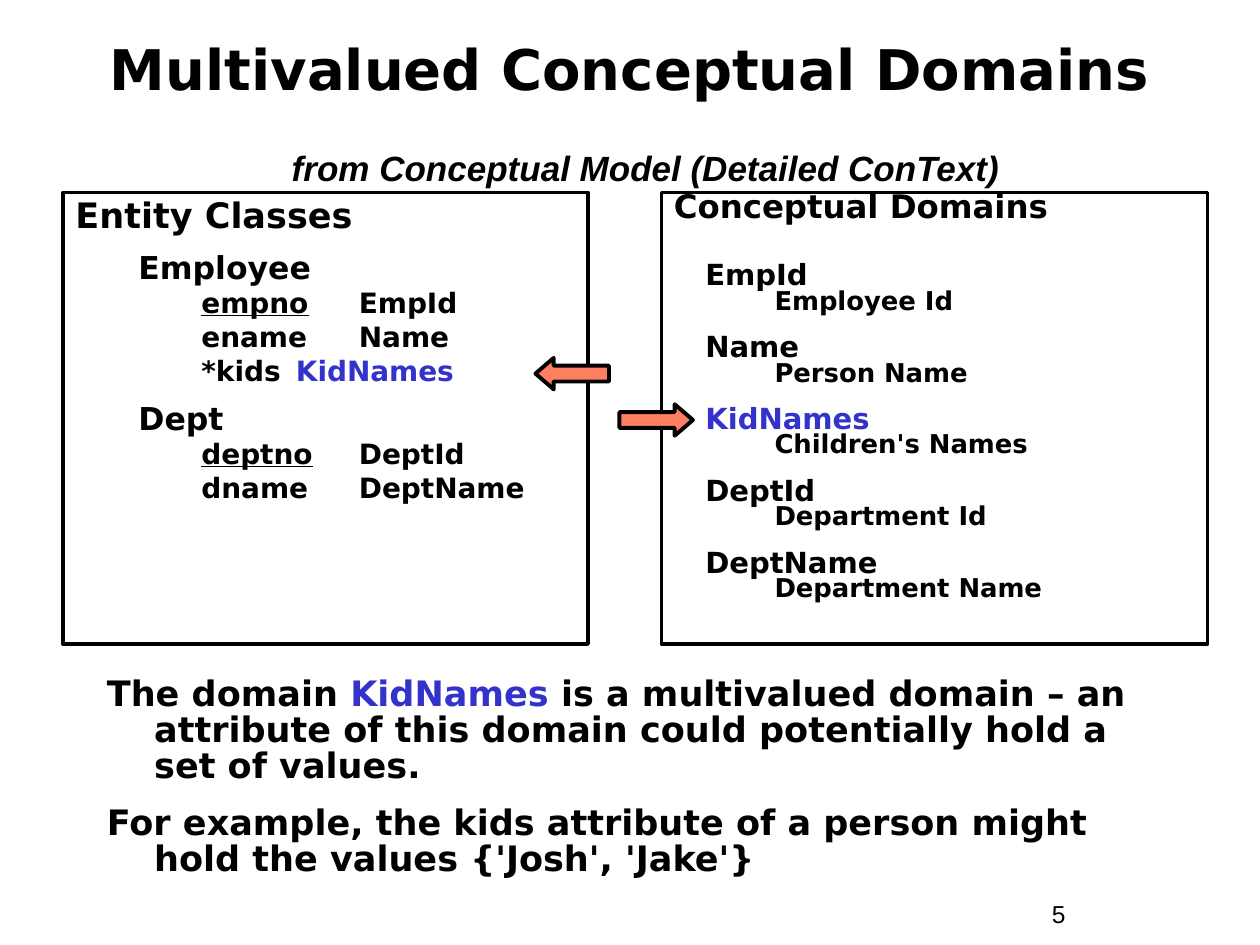
from lxml import etree
from pptx import Presentation
from pptx.dml.color import RGBColor
from pptx.enum import shapes, text
from pptx.oxml.ns import qn
from pptx.util import Pt

BLACK, BLUE, CORAL = "000000", "3333CC", "FF7F61"
SANS = "DejaVu Sans"
KID_NAMES = ("KidNames", {"color": BLUE})
ATTRIBUTE_TABS = [0, 167, *range(216, 577, 72)]


def rgb(value):
    return RGBColor.from_string(value)


def add_tabs(para, stops):
    tab_list = etree.SubElement(para._p.get_or_add_pPr(), qn("a:tabLst"))
    for stop in stops:
        etree.SubElement(tab_list, qn("a:tab"), pos=str(Pt(stop)), algn="l")


def add_para(frame, spans, size, font=SANS, bold=True, italic=False, align=None,
             spacing=None, before=0, level=0, indent=(0, 0), tabs=()):
    """Add a paragraph; each span is a string or a (string, style) pair."""
    first = not frame.paragraphs[0].runs
    para = frame.paragraphs[0] if first else frame.add_paragraph()
    para.level = level
    properties = para._p.get_or_add_pPr()
    properties.set("marL", str(Pt(indent[0])))
    properties.set("indent", str(Pt(indent[1])))
    if tabs:
        add_tabs(para, tabs)
    para.alignment = align or text.PP_ALIGN.LEFT
    para.line_spacing = spacing
    para.space_before = Pt(0 if first else before)
    para.font.name, para.font.size = font, Pt(size)
    para.font.bold, para.font.italic = bold, italic
    para.font.color.rgb = rgb(BLACK)
    for item in spans:
        words, style = (item, {}) if isinstance(item, str) else item
        span = para.add_run()
        span.text = words
        # Shapes carry a white default, so each run states its colour
        span.font.color.rgb = rgb(style.get("color", BLACK))
        if "underline" in style:
            span.font.underline = style["underline"]


def add_text_box(page, left, top, width, height, anchor=text.MSO_ANCHOR.TOP):
    box = page.shapes.add_textbox(Pt(left), Pt(top), Pt(width), Pt(height))
    box.text_frame.word_wrap = True
    box.text_frame.vertical_anchor = anchor
    return box.text_frame


def add_outlined(page, kind, left, top, width, height, fill=None):
    shape = page.shapes.add_shape(kind, Pt(left), Pt(top), Pt(width), Pt(height))
    shape.shadow.inherit = False
    if fill:
        shape.fill.solid()
        shape.fill.fore_color.rgb = rgb(fill)
    else:
        shape.fill.background()
    shape.line.color.rgb = rgb(BLACK)
    shape.line.width = Pt(2.25)
    return shape


def add_panel(page, left, width):
    panel = add_outlined(page, shapes.MSO_SHAPE.RECTANGLE, left, 110, width, 258)
    panel.text_frame.word_wrap = True
    panel.text_frame.vertical_anchor = text.MSO_ANCHOR.TOP
    return panel.text_frame


def add_arrow(page, kind, left, top):
    arrow = add_outlined(page, kind, left, top, 42, 18, CORAL)
    arrow.adjustments[0], arrow.adjustments[1] = 0.5, 0.58


def add_entity_classes(page):
    underlined = {"underline": True}
    entities = [
        ("Employee", [[("empno", underlined), "\tEmpId"],
                      ["ename\tName"],
                      ["*kids\t", KID_NAMES]]),
        ("Dept", [[("deptno", underlined), "\tDeptId"],
                  ["dname\tDeptName"]]),
    ]
    frame = add_panel(page, 36, 300)
    common = {"spacing": 0.9, "tabs": ATTRIBUTE_TABS}
    add_para(frame, ["Entity Classes"], 20, indent=(27, -27), **common)
    for entity, attributes in entities:
        add_para(frame, [entity], 18, before=9, level=1,
                 indent=(58.5, -22.5), **common)
        for attribute in attributes:
            add_para(frame, attribute, 16, before=2, level=2,
                     indent=(90, -18), **common)


def add_conceptual_domains(page):
    domains = [
        ("EmpId", "Employee Id"),
        ("Name", "Person Name"),
        (KID_NAMES, "Children's Names"),
        ("DeptId", "Department Id"),
        ("DeptName", "Department Name"),
    ]
    frame = add_panel(page, 378, 312)
    add_para(frame, ["Conceptual Domains"], 18.5, spacing=0.65)
    for number, (domain, meaning) in enumerate(domains):
        add_para(frame, [domain], 16.6, spacing=0.65, level=1,
                 before=14.6 if number else 25, indent=(40.5, -22.5))
        add_para(frame, [meaning], 14.8, spacing=0.65, level=2,
                 before=2, indent=(75.5, -18))


def add_explanation(page):
    frame = add_text_box(page, 54, 384, 624, 122)
    for spans in (
        ["The domain ", KID_NAMES, " is a multivalued domain – an attribute of "
         "this domain could potentially hold a set of values."],
        ["For example, the kids attribute of a person might hold the values "
         "{'Josh', 'Jake'}"],
    ):
        add_para(frame, spans, 20, spacing=0.85, before=12.5, indent=(27, -27))


def main():
    deck = Presentation()
    deck.slide_width, deck.slide_height = Pt(720), Pt(540)
    page = deck.slides.add_slide(deck.slide_layouts[6])
    center = text.PP_ALIGN.CENTER

    # Title, subtitle and page number
    title = add_text_box(page, 24, 18, 672, 48, text.MSO_ANCHOR.MIDDLE)
    add_para(title, ["Multivalued Conceptual Domains"], 32, align=center, spacing=0.85)
    subtitle = add_text_box(page, 120, 80, 498, 32)
    add_para(subtitle, ["from Conceptual Model (Detailed ConText)"], 20,
             font="Arial", italic=True, align=center)
    number = add_text_box(page, 594, 510, 66, 24)
    add_para(number, ["5"], 14, font="Arial", bold=False)

    # Panels and the text below them
    add_conceptual_domains(page)
    add_entity_classes(page)
    add_explanation(page)

    # Arrows pointing at the multivalued domain
    add_arrow(page, shapes.MSO_SHAPE.RIGHT_ARROW, 354, 231)
    add_arrow(page, shapes.MSO_SHAPE.LEFT_ARROW, 306, 204.5)

    deck.save("out.pptx")


if __name__ == "__main__":
    main()
